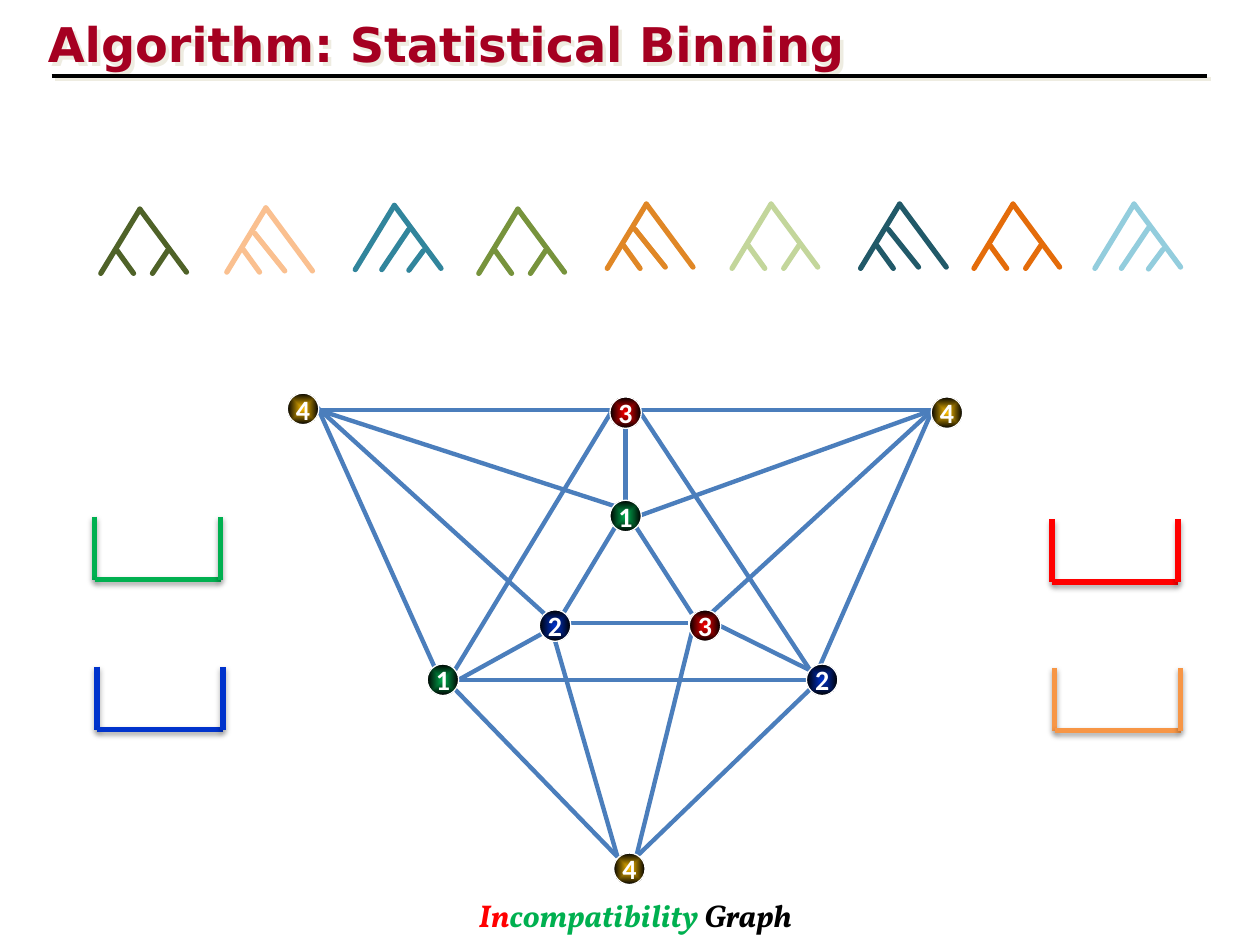
"""Build the statistical binning slide: gene trees, incompatibility graph and four bins."""
import dataclasses
import math
import typing

import pptx
import pptx.dml.color
import pptx.enum.dml
import pptx.enum.shapes
import pptx.enum.text
import pptx.oxml
import pptx.oxml.ns
import pptx.util

Point = tuple[float, float]

COLORS = {
    "title": "A50021", "title_shadow": "EEECE1", "black": "000000", "white": "FFFFFF",
    "edge": "4B7EBC", "red": "FF0000", "green": "00B050", "blue": "0033CC",
    "gold": "FFC000", "orange": "F79646",
    "olive": "4F6228", "peach": "FAC090", "teal": "31859C", "moss": "77933C",
    "amber": "E08726", "lime": "C3D69B", "petrol": "215968", "rust": "E46C0A",
    "sky": "93CDDD",
}
WIDTH, HEIGHT = pptx.util.Inches(10), pptx.util.Inches(7.5)
COLS, ROWS = 100, 75
BALL, RING = 2.5, 1.05
SITES = {"E": 0, "SE": 45, "S": 90, "SW": 135, "W": 180, "NW": 225, "N": 270, "NE": 315}
NODE_COLORS = {"1": "green", "2": "blue", "3": "red", "4": "gold"}


@dataclasses.dataclass
class Shadow:
    color: str
    alpha: int
    blur: float
    dist: float
    angle: int


@dataclasses.dataclass
class Tree:
    apex: Point
    kind: str
    color: str


@dataclasses.dataclass
class Node:
    label: str
    ball: Point
    hub: Point


@dataclasses.dataclass
class Bin:
    left: float
    top: float
    color: str


BIN_SHADOW = Shadow("black", 35, 3.1, 1.8, 90)
TITLE_SHADOW = Shadow("title_shadow", 100, 0, 2.8, 45)

OUTLINE = [((-3.1, 5.1), (0, 0)), ((0, 0), (3.7, 5))]
LEFT_TWIG = ((-1.8, 3.3), (-0.5, 5.1))
TWIGS = {
    "balanced": [LEFT_TWIG, ((2.2, 3.3), (1, 5.1))],
    "left": [LEFT_TWIG, ((-0.9, 2), (1.5, 5))],
    "right": [((1.15, 1.9), (-1, 5.1)), ((2.3, 3.6), (1.15, 5.15))],
}
TREES = [
    Tree((11.1, 16.6), "balanced", "olive"), Tree((21.1, 16.5), "left", "peach"),
    Tree((31.3, 16.3), "right", "teal"), Tree((41.1, 16.6), "balanced", "moss"),
    Tree((51.3, 16.2), "left", "amber"), Tree((61.2, 16.2), "balanced", "lime"),
    Tree((71.4, 16.2), "left", "petrol"), Tree((80.4, 16.2), "balanced", "rust"),
    Tree((90, 16.2), "right", "sky"),
]
NODES = {
    "inner_right": Node("3", (54.7, 48.4), (55.65, 49.45)),
    "inner_top": Node("1", (48.4, 39.7), (49.65, 40.95)),
    "inner_left": Node("2", (42.8, 48.4), (43.95, 49.45)),
    "bottom": Node("4", (48.7, 67.7), (49.75, 68.75)),
    "low_left": Node("1", (33.9, 52.7), (35.35, 53.95)),
    "low_right": Node("2", (64, 52.7), (65.05, 53.95)),
    "top": Node("3", (48.4, 31.5), (49.65, 32.55)),
    "far_left": Node("4", (22.8, 31.2), (24.25, 32.55)),
    "far_right": Node("4", (73.9, 31.5), (75.05, 32.55)),
}
EDGES = [
    ("top", "E", "low_right", "NW"), ("top", "W", "low_left", "NE"),
    ("low_left", "E", "low_right", "W"), ("top", "E", "far_right", "W"),
    ("top", "W", "far_left", "E"), ("far_right", "W", "low_right", "N"),
    ("far_left", "E", "low_left", "NW"), ("inner_left", "E", "inner_right", "W"),
    ("inner_top", "SW", "inner_left", "NE"), ("inner_top", "SE", "inner_right", "NW"),
    ("top", "S", "inner_top", "N"), ("low_left", "E", "inner_left", "SW"),
    ("inner_right", "E", "low_right", "NW"), ("low_right", "SW", "bottom", "NE"),
    ("low_left", "SE", "bottom", "NW"), ("inner_right", "SW", "bottom", "NE"),
    ("inner_left", "S", "bottom", "NW"), ("far_left", "N", "inner_left", "NW"),
    ("far_left", "E", "inner_top", "NW"), ("inner_right", "NE", "far_right", "W"),
    ("inner_top", "E", "far_right", "W"),
]
BINS = [Bin(7.5, 41, "green"), Bin(7.7, 52.9, "blue"),
        Bin(83.5, 41.2, "red"), Bin(83.7, 53, "orange")]


def x(cols: float) -> int:
    return round(WIDTH * cols / COLS)


def y(rows: float) -> int:
    return round(HEIGHT * rows / ROWS)


def rgb(name: str) -> pptx.dml.color.RGBColor:
    return pptx.dml.color.RGBColor.from_string(COLORS[name])


def element(xml: str) -> typing.Any:
    tag, rest = xml[1:].split(" ", 1)
    return pptx.oxml.parse_xml(f"<{tag} {pptx.oxml.ns.nsdecls('a')} {rest}")


def set_effect(sp: typing.Any, shadow: typing.Optional[Shadow]) -> None:
    inner = ""
    if shadow:
        inner = (f'<a:outerShdw blurRad="{pptx.util.Pt(shadow.blur)}" dist="{pptx.util.Pt(shadow.dist)}" '
                 f'dir="{shadow.angle * 60000}" algn="tl" rotWithShape="0">'
                 f'<a:srgbClr val="{COLORS[shadow.color]}"><a:alpha val="{shadow.alpha * 1000}"/>'
                 f'</a:srgbClr></a:outerShdw>')
    sp._element.spPr.append(element(f"<a:effectLst >{inner}</a:effectLst>"))


def add_line(shapes: typing.Any, start: Point, end: Point, color: str, width: float,
             shadow: typing.Optional[Shadow] = None, cap: str = "flat") -> None:
    s = shapes.add_connector(pptx.enum.shapes.MSO_CONNECTOR.STRAIGHT,
                             x(start[0]), y(start[1]), x(end[0]), y(end[1]))
    s.line.color.rgb = rgb(color)
    s.line.width = pptx.util.Pt(width)
    s.line._get_or_add_ln().set("cap", cap)
    set_effect(s, shadow)


def add_run(p: typing.Any, text: str, *, size: float, font: str, color: str,
            italic: bool = False) -> None:
    r = p.add_run()
    r.text = text
    r.font.size, r.font.name = pptx.util.Pt(size), font
    r.font.bold, r.font.italic = True, italic
    r.font.color.rgb = rgb(color)


def add_tree(shapes: typing.Any, tree: Tree) -> None:
    group = shapes.add_group_shape()
    ax, ay = tree.apex
    for (x1, y1), (x2, y2) in OUTLINE + TWIGS[tree.kind]:
        add_line(group.shapes, (ax + x1, ay + y1), (ax + x2, ay + y2), tree.color, 3, cap="rnd")


def site(name: str, direction: str) -> Point:
    hub, angle = NODES[name].hub, math.radians(SITES[direction])
    return hub[0] + RING * math.cos(angle), hub[1] + RING * math.sin(angle)


def add_node(shapes: typing.Any, node: Node) -> None:
    s = shapes.add_shape(pptx.enum.shapes.MSO_SHAPE.OVAL,
                         x(node.ball[0]), y(node.ball[1]), x(BALL), y(BALL))
    s.shadow.inherit = False
    s.fill.gradient()
    for stop, color in zip(s.fill.gradient_stops, (NODE_COLORS[node.label], "black")):
        stop.color.rgb = rgb(color)
    lin = s._element.spPr.find(".//" + pptx.oxml.ns.qn("a:lin"))
    lin.getparent().replace(lin, element(
        '<a:path path="shape"><a:fillToRect l="50000" t="50000" r="50000" b="50000"/></a:path>'))
    s.line.color.rgb = rgb("white")
    s.line.width = pptx.util.Pt(0.75)
    tf = s.text_frame
    tf.word_wrap = False
    tf.vertical_anchor = pptx.enum.text.MSO_ANCHOR.MIDDLE
    p = tf.paragraphs[0]
    p.alignment = pptx.enum.text.PP_ALIGN.CENTER
    add_run(p, node.label, size=16, font="Calibri", color="white")


def add_bin(shapes: typing.Any, b: Bin) -> None:
    group = shapes.add_group_shape()
    right, bottom = b.left + 10, b.top + 5
    corners = [(b.left, b.top), (b.left, bottom), (right, bottom), (right, b.top)]
    for start, end in zip(corners, corners[1:]):
        add_line(group.shapes, start, end, b.color, 3, BIN_SHADOW)


def add_title(s: typing.Any) -> None:
    s.left, s.top, s.width, s.height = x(2.8), y(0.1), x(90.2), y(6.7)
    s.text_frame.vertical_anchor = pptx.enum.text.MSO_ANCHOR.MIDDLE
    p = s.text_frame.paragraphs[0]
    p.alignment = pptx.enum.text.PP_ALIGN.LEFT
    add_run(p, "Algorithm: Statistical Binning", size=27.3, font="DejaVu Sans", color="title")
    set_effect(s, TITLE_SHADOW)


def add_caption(shapes: typing.Any) -> None:
    tf = shapes.add_textbox(x(37), y(70.6), x(29.5), y(4)).text_frame
    tf.word_wrap = True
    for text, color in [("In", "red"), ("compatibility", "green"), (" Graph", "black")]:
        add_run(tf.paragraphs[0], text, size=18, font="Vollkorn", color=color, italic=True)


def main() -> None:
    prs = pptx.Presentation()
    prs.slide_width, prs.slide_height = WIDTH, HEIGHT
    shapes = prs.slides.add_slide(prs.slide_layouts[5]).shapes
    add_title(shapes.title)
    add_line(shapes, (4.1, 6), (95.8, 6), "black", 2.25, TITLE_SHADOW)
    for tree in TREES:
        add_tree(shapes, tree)
    for a, a_site, b, b_site in EDGES:
        add_line(shapes, site(a, a_site), site(b, b_site), "edge", 2.5)
    for node in NODES.values():
        add_node(shapes, node)
    for b in BINS:
        add_bin(shapes, b)
    add_caption(shapes)
    prs.save("out.pptx")


if __name__ == "__main__":
    main()
